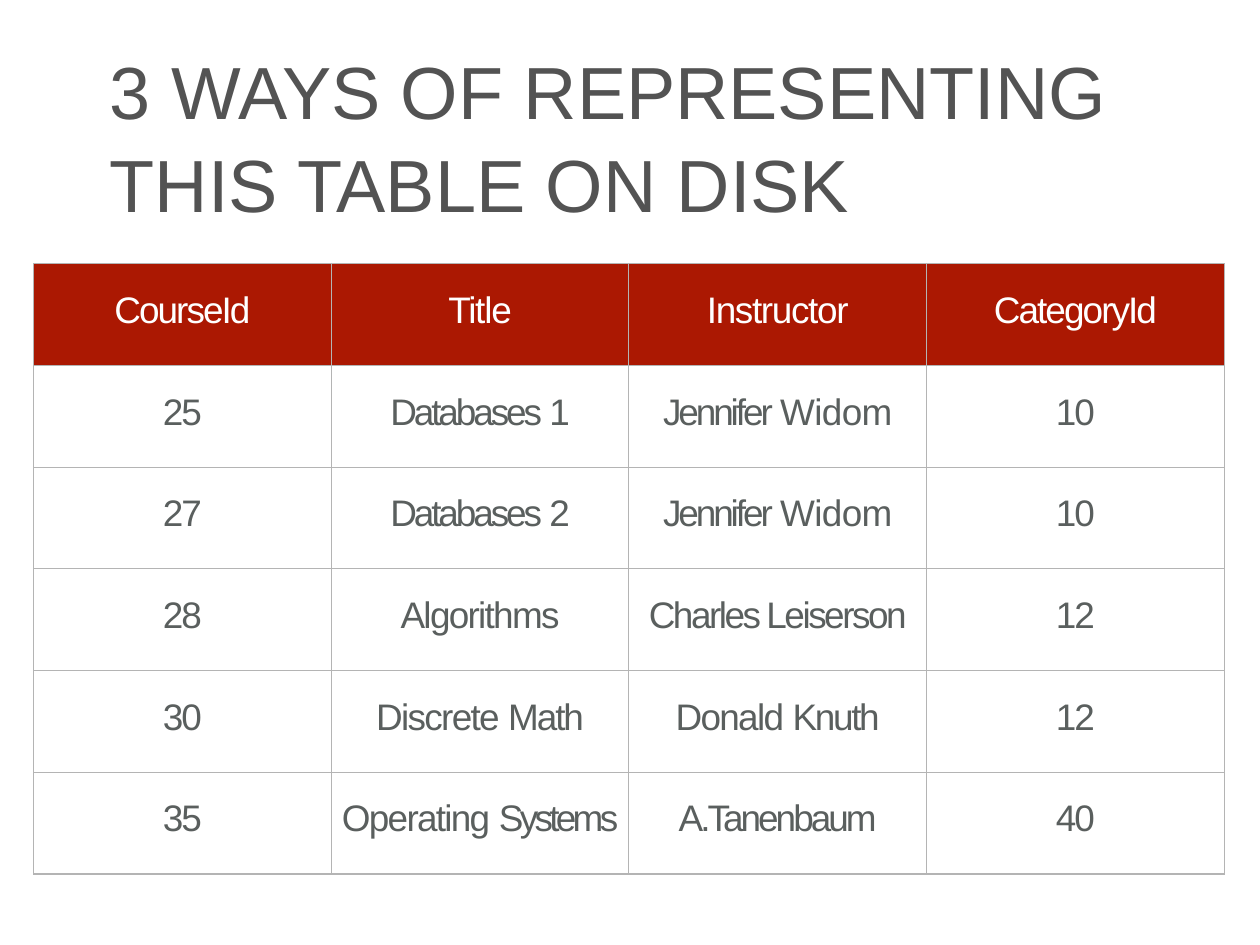
from lxml import etree
from pptx import Presentation
from pptx.dml.color import RGBColor
from pptx.enum.text import MSO_ANCHOR, MSO_AUTO_SIZE, PP_ALIGN
from pptx.oxml.ns import qn
from pptx.util import Pt

TOP, LEFT, CENTER = MSO_ANCHOR.TOP, PP_ALIGN.LEFT, PP_ALIGN.CENTER
NO_AUTOSIZE = MSO_AUTO_SIZE.NONE
FONT = "Arial"
COLORS = {"title": "535353", "header": "AB1802", "header_text": "FFFFFF",
          "cell": "FFFFFF", "cell_text": "5A5F5E", "border": "B4B4B4"}
COL_WIDTH, ROW_HEIGHT = 241.92, 82.65

# Each cell is a list of runs: (text, letter spacing in points)
ROWS = [
    [[("CourseId", -1.6)], [("Title", -1)], [("Instructor", -1.1)], [("CategoryId", -1.6)]],
    [[("25", -1.7)], [("Databases ", -2.5), ("1", -1.7)],
     [("Jennifer ", -2.5), ("Widom", -0.5)], [("10", -1.7)]],
    [[("27", -1.7)], [("Databases ", -2.5), ("2", -1.7)],
     [("Jennifer ", -2.5), ("Widom", -0.5)], [("10", -1.7)]],
    [[("28", -1.7)], [("Algorithms", -1.4)], [("Charles Leiserson", -2)], [("12", -1.7)]],
    [[("30", -1.7)], [("Discrete ", -1.4), ("Math", -1.7)],
     [("Donald ", -1.4), ("Knuth", -1.9)], [("12", -1.7)]],
    [[("35", -1.7)], [("Operating ", -1.4), ("Systems", -3)],
     [("A.Tanenbaum", -2.4)], [("40", -1.7)]],
]


def add_run(p, text, size, color, spacing=0):
    r = p.add_run()
    r.text = text
    r.font.name = FONT
    r.font.size = Pt(size)
    r.font.color.rgb = RGBColor.from_string(color)
    if spacing:
        r.font._element.set("spc", str(round(spacing * 100)))


def add_borders(cell, color, width):
    tcPr = cell._tc.get_or_add_tcPr()
    for side in ("a:lnL", "a:lnR", "a:lnT", "a:lnB"):
        ln = etree.SubElement(tcPr, qn(side), w=str(Pt(width)))
        fill = etree.SubElement(ln, qn("a:solidFill"))
        etree.SubElement(fill, qn("a:srgbClr"), val=color)


prs = Presentation()
prs.slide_width, prs.slide_height = Pt(1024), Pt(768)
s = prs.slides.add_slide(prs.slide_layouts[5])

# Title
title = s.shapes.title
title.left, title.top, title.width, title.height = Pt(89.3), Pt(26), Pt(867), Pt(152.6)
tf = title.text_frame
tf.word_wrap = True
tf.auto_size = NO_AUTOSIZE
tf.vertical_anchor = TOP
tf.margin_left = tf.margin_right = tf.margin_bottom = 0
tf.margin_top = Pt(7.2)
p = tf.paragraphs[0]
p.alignment = LEFT
p.line_spacing = 1.05
add_run(p, "3 WAYS OF REPRESENTING THIS TABLE ON DISK", 60, COLORS["title"])

# Course table
table = s.shapes.add_table(len(ROWS), len(ROWS[0]), Pt(27.3), Pt(214.5),
                           Pt(COL_WIDTH * len(ROWS[0])), Pt(ROW_HEIGHT * len(ROWS))).table
table.horz_banding = False
for col in table.columns:
    col.width = Pt(COL_WIDTH)
for i, row in enumerate(ROWS):
    table.rows[i].height = Pt(ROW_HEIGHT)
    fill, ink = ("header", "header_text") if i == 0 else ("cell", "cell_text")
    for j, runs in enumerate(row):
        cell = table.cell(i, j)
        add_borders(cell, COLORS["border"], 1)
        cell.fill.solid()
        cell.fill.fore_color.rgb = RGBColor.from_string(COLORS[fill])
        cell.vertical_anchor = TOP
        cell.margin_left = cell.margin_right = cell.margin_bottom = 0
        cell.margin_top = Pt(21.4)
        p = cell.text_frame.paragraphs[0]
        p.alignment = CENTER
        for text, spacing in runs:
            add_run(p, text, 30, COLORS[ink], spacing)
            p.runs[-1].font.bold = False

prs.save("out.pptx")
